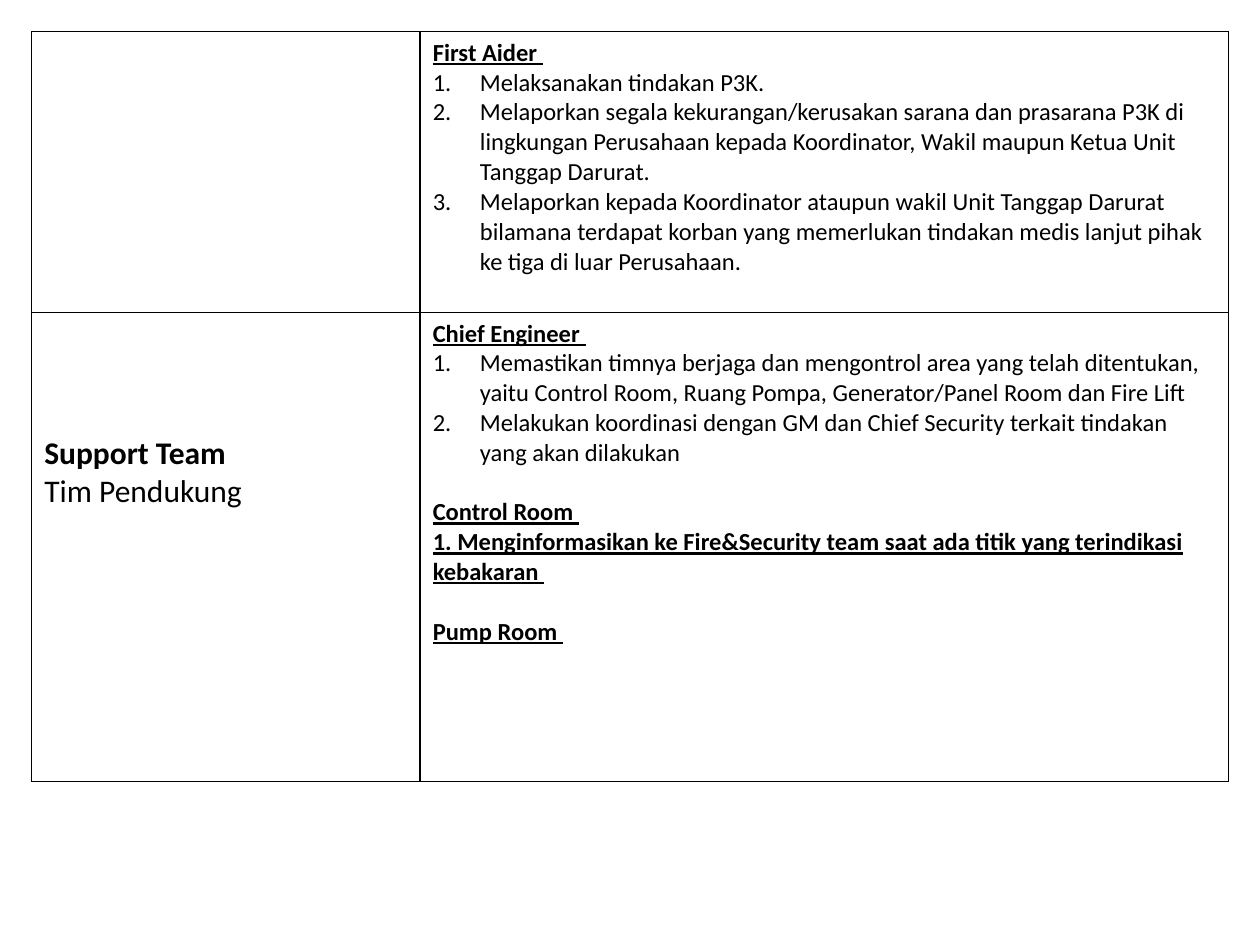
from dataclasses import dataclass

from lxml.etree import SubElement
from pptx import Presentation
from pptx.dml.color import RGBColor
from pptx.oxml.ns import qn
from pptx.slide import Slide
from pptx.util import Cm, Pt


def colour(code):
    return RGBColor.from_string(code)


@dataclass
class TeamSlide:
    slide: Slide
    font: str = "Calibri"
    ink: str = "000000"
    paper: str = "FFFFFF"
    indent: float = 0.95

    def table(self, left, top, widths, heights):
        frame = self.slide.shapes.add_table(
            len(heights), len(widths), Cm(left), Cm(top),
            Cm(sum(widths)), Cm(sum(heights)))
        table = frame.table
        table.first_row = False
        table.horz_banding = False
        for column, width in zip(table.columns, widths):
            column.width = Cm(width)
        for row, height in zip(table.rows, heights):
            row.height = Cm(height)
        for cell in table.iter_cells():
            self.borders(cell)
            cell.fill.solid()
            cell.fill.fore_color.rgb = colour(self.paper)
        return table

    def borders(self, cell):
        properties = cell._tc.get_or_add_tcPr()
        for side in ("lnL", "lnR", "lnT", "lnB"):
            line = SubElement(properties, qn(f"a:{side}"), w=str(Pt(1)))
            fill = SubElement(line, qn("a:solidFill"))
            SubElement(fill, qn("a:srgbClr"), val=self.ink)

    def paragraph(self, cell, text, size, bold=False, underline=None, gap=0):
        frame = cell.text_frame
        paragraph = frame.paragraphs[0] if not frame.text else frame.add_paragraph()
        paragraph.text = text
        paragraph.space_before = Pt(gap)
        font = paragraph.font
        font.name = self.font
        font.size = Pt(size)
        font.bold = bold
        font.underline = underline
        font.color.rgb = colour(self.ink)
        return paragraph

    def heading(self, cell, text, gap=0):
        self.paragraph(cell, text, 14, bold=True, underline=True, gap=gap)

    def numbered(self, cell, items):
        for item in items:
            properties = self.paragraph(cell, item, 14)._p.get_or_add_pPr()
            properties.set("marL", str(Cm(self.indent)))
            properties.set("indent", str(-Cm(self.indent)))
            number = SubElement(properties, qn("a:buAutoNum"), type="arabicPeriod")
            properties.find(qn("a:defRPr")).addprevious(number)


def main():
    presentation = Presentation()
    presentation.slide_width = Cm(25.4)
    presentation.slide_height = Cm(19.05)
    page = TeamSlide(presentation.slides.add_slide(presentation.slide_layouts[6]))

    duties = page.table(0.64, 0.64, widths=(7.83, 16.3), heights=(5.66, 9.45))
    first_aid = duties.cell(0, 1)
    team = duties.cell(1, 0)
    support = duties.cell(1, 1)

    page.heading(first_aid, "First Aider ")
    page.numbered(first_aid, (
        "Melaksanakan tindakan P3K.",
        "Melaporkan segala kekurangan/kerusakan sarana dan prasarana P3K di "
        "lingkungan Perusahaan kepada Koordinator, Wakil maupun Ketua Unit "
        "Tanggap Darurat.",
        "Melaporkan kepada Koordinator ataupun wakil Unit Tanggap Darurat "
        "bilamana terdapat korban yang memerlukan tindakan medis lanjut pihak "
        "ke tiga di luar Perusahaan.",
    ))

    team.margin_top = Cm(2.45)
    page.paragraph(team, "Support Team", 18, bold=True)
    page.paragraph(team, "Tim Pendukung", 18)

    page.heading(support, "Chief Engineer ")
    page.numbered(support, (
        "Memastikan timnya berjaga dan mengontrol area yang telah ditentukan, "
        "yaitu Control Room, Ruang Pompa, Generator/Panel Room dan Fire Lift",
        "Melakukan koordinasi dengan GM dan Chief Security terkait tindakan "
        "yang akan dilakukan",
    ))
    page.heading(support, "Control Room ", gap=17)
    page.heading(support, "1. Menginformasikan ke Fire&Security team saat ada "
                          "titik yang terindikasi kebakaran ")
    page.heading(support, "Pump Room ", gap=17)

    presentation.save("out.pptx")


if __name__ == "__main__":
    main()
